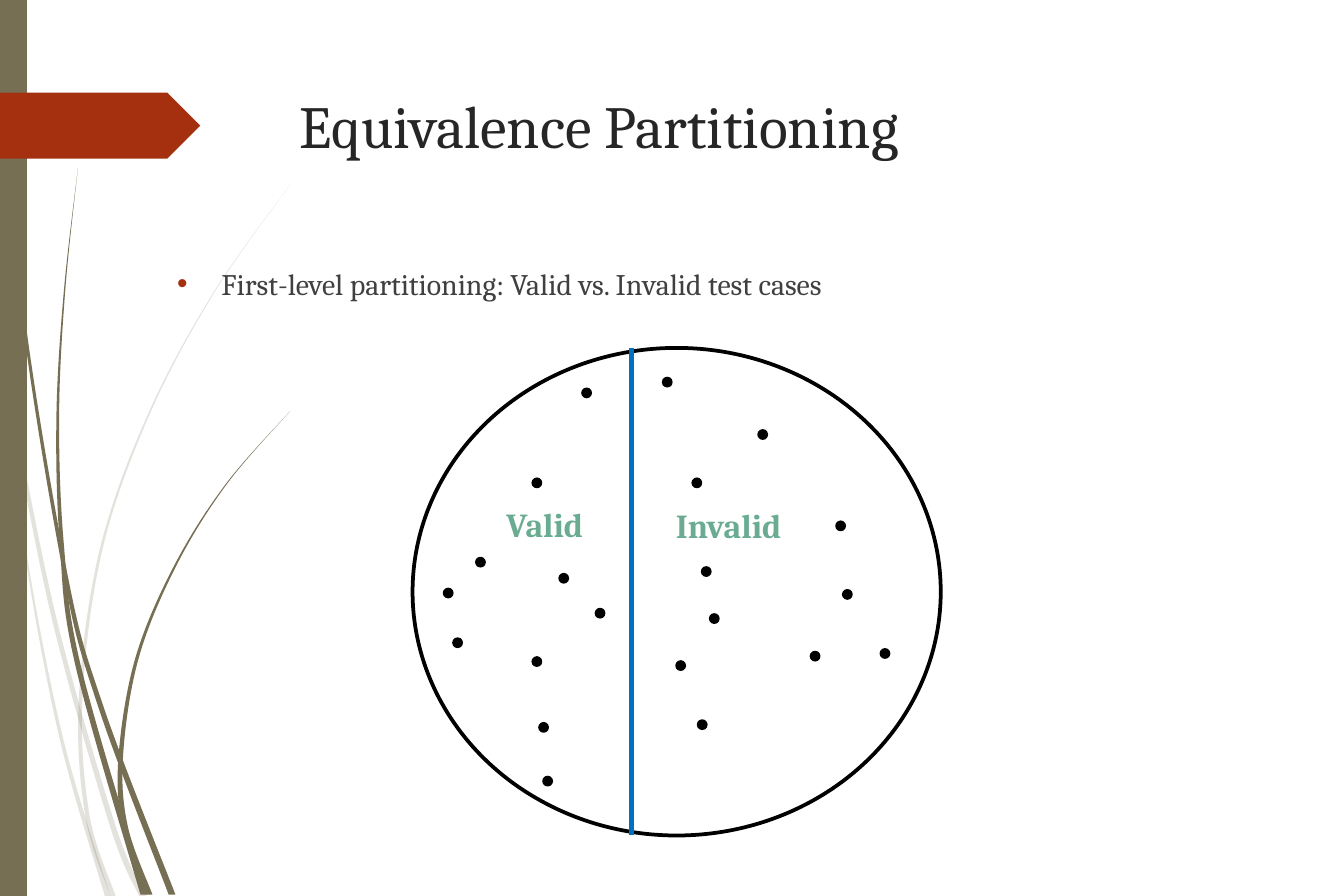
from lxml.etree import SubElement
from pptx import Presentation
from pptx.dml.color import RGBColor
from pptx.enum.shapes import MSO_CONNECTOR as Connector, MSO_SHAPE as Shape
from pptx.oxml.ns import qn
from pptx.util import Inches, Pt

OLIVE = RGBColor(0x76, 0x6F, 0x54)
RUST = RGBColor(0xA5, 0x30, 0x10)
TITLE_GREY = RGBColor(0x26, 0x26, 0x26)
BODY_GREY = RGBColor(0x40, 0x40, 0x40)
GREEN = RGBColor(0x6A, 0xAC, 0x91)
BLUE = RGBColor(0x00, 0x70, 0xC0)
BLACK = RGBColor(0, 0, 0)

deck = Presentation()
deck.slide_width, deck.slide_height = Inches(10), Inches(6.67)
page = deck.slides.add_slide(deck.slide_layouts[6])
shapes = page.shapes
UNIT = deck.slide_width // 1000  # one grid step, a thousandth of the width


def add_blade(spine, tip, root, opacity):
    """Draw a curved grass blade whose width grows from tip to root along the spine."""
    last = len(spine) - 1
    sides = []
    for sign in (-1, 1):
        edge = [(x + sign * (tip + (root - tip) * i / last) / 2, y)
                for i, (x, y) in enumerate(spine)]
        sides.append(edge[::-sign])
    outline = []
    for edge in sides:
        slopes = [[(b - a) / 6 for a, b in zip(edge[max(i - 1, 0)], edge[min(i + 1, last)])]
                  for i in range(last + 1)]
        if outline:  # straight end cap, written as a curve
            outline += [outline[-1], edge[0]]
        outline.append(edge[0])
        for (x1, y1), (x2, y2), (dx1, dy1), (dx2, dy2) in zip(edge, edge[1:], slopes, slopes[1:]):
            outline += [(x1 + dx1, y1 + dy1), (x2 - dx2, y2 - dy2), (x2, y2)]
    points = [(x * UNIT, y * UNIT) for x, y in outline]
    builder = shapes.build_freeform(*points[0])
    builder.add_line_segments(points[1:], close=True)
    blade = builder.convert_to_shape()
    blade.shadow.inherit = False
    blade.fill.solid()
    blade.fill.fore_color.rgb = OLIVE
    blade.line.fill.background()
    color_node = next(blade.element.iter(qn("a:srgbClr")))
    SubElement(color_node, qn("a:alpha")).set("val", str(opacity * 1000))
    lines = list(blade.element.iter(qn("a:lnTo")))
    for trio in zip(lines[::3], lines[1::3], lines[2::3]):
        curve = trio[0].makeelement(qn("a:cubicBezTo"))
        trio[0].addprevious(curve)
        for line in trio:
            curve.append(line[0])
            line.getparent().remove(line)


def add_text(left, top, width, height, text, size, color, wrap=True, bold=False, bullet=None):
    box = shapes.add_textbox(left * UNIT, top * UNIT, width * UNIT, height * UNIT)
    box.text_frame.word_wrap = wrap
    para = box.text_frame.paragraphs[0]
    para.text = text
    if bullet:
        props = para._p.get_or_add_pPr()
        props.set("marL", str(33 * UNIT))
        props.set("indent", str(-33 * UNIT))
        SubElement(SubElement(props, qn("a:buClr")), qn("a:srgbClr")).set("val", str(RUST))
        SubElement(props, qn("a:buFont")).set("typeface", "Arial")
        SubElement(props, qn("a:buChar")).set("char", bullet)
    para.font.name, para.font.size, para.font.bold = "Cambria", Pt(size), bold
    para.font.color.rgb = color


# Spine from tip to root, width at the tip, width at the root, opacity in percent
blades = [
    ([(1, 258), (10, 311), (41, 463), (84, 615), (106, 667)], 2, 5, 20),
    ([(8, 311), (20, 417), (46, 551), (80, 667)], 0, 4, 20),
    ([(217, 136), (159, 218), (110, 310), (75, 410), (60, 520), (65, 607), (84, 667)], 0, 4, 20),
    ([(2, 0), (14, 207), (48, 424), (75, 526), (128, 666)], 1, 5, 100),
    ([(58, 125), (48, 217), (43, 310), (46, 405), (58, 495), (107, 666)], 0, 5, 100),
    ([(216, 306), (168, 361), (130, 422), (102, 490), (90, 562), (93, 615), (111, 666)], 0, 5, 100),
]
for spine, tip, root, opacity in blades:
    add_blade(spine, tip, root, opacity)

side_bar = shapes.add_shape(Shape.RECTANGLE, 0, 0, 20 * UNIT, deck.slide_height)
arrow_tab = shapes.add_shape(Shape.PENTAGON, 0, 69 * UNIT, 149 * UNIT, 49 * UNIT)
for block, color in ((side_bar, OLIVE), (arrow_tab, RUST)):
    block.shadow.inherit = False
    block.fill.solid()
    block.fill.fore_color.rgb = color
    block.line.fill.background()

add_text(213, 61, 721, 125, "Equivalence Partitioning", 32, TITLE_GREY)
add_text(122, 193, 756, 82, "First-level partitioning: Valid vs. Invalid test cases", 16,
         BODY_GREY, bullet="•")
add_text(367, 370, 79, 40, "Valid", 18, GREEN, wrap=False, bold=True)
add_text(493, 371, 100, 40, "Invalid", 18, GREEN, wrap=False, bold=True)

domain = shapes.add_shape(Shape.OVAL, 307 * UNIT, 259 * UNIT, 393 * UNIT, 363 * UNIT)
domain.shadow.inherit = False
domain.fill.background()
domain.line.color.rgb, domain.line.width = BLACK, Pt(2)

divider = shapes.add_connector(Connector.STRAIGHT, 470 * UNIT, 259 * UNIT, 470 * UNIT, 622 * UNIT)
divider.line.color.rgb, divider.line.width = BLUE, Pt(3)
SubElement(divider.element.spPr, qn("a:effectLst"))

test_cases = [
    (515, 356), (493, 281), (622, 388), (522, 422), (433, 289), (396, 356), (330, 438),
    (396, 489), (404, 578), (416, 427), (443, 453), (627, 439), (603, 485), (655, 483),
    (354, 415), (337, 475), (401, 538), (519, 536), (503, 492), (528, 457), (564, 320),
]
for left, top in test_cases:
    dot = shapes.add_shape(Shape.OVAL, left * UNIT, top * UNIT, 7 * UNIT, 7 * UNIT)
    dot.shadow.inherit = False
    dot.fill.solid()
    dot.fill.fore_color.rgb = BLACK
    dot.line.color.rgb, dot.line.width = BLACK, Pt(0.75)

deck.save("out.pptx")
